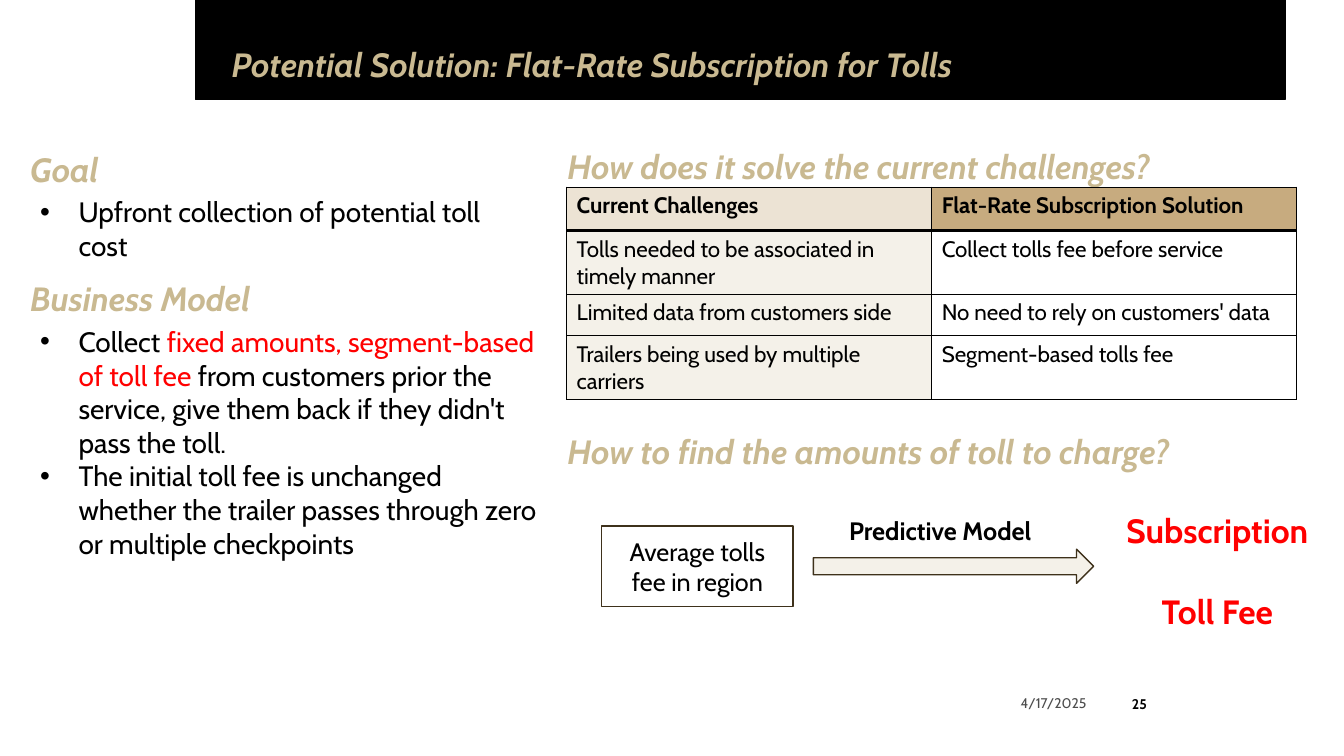
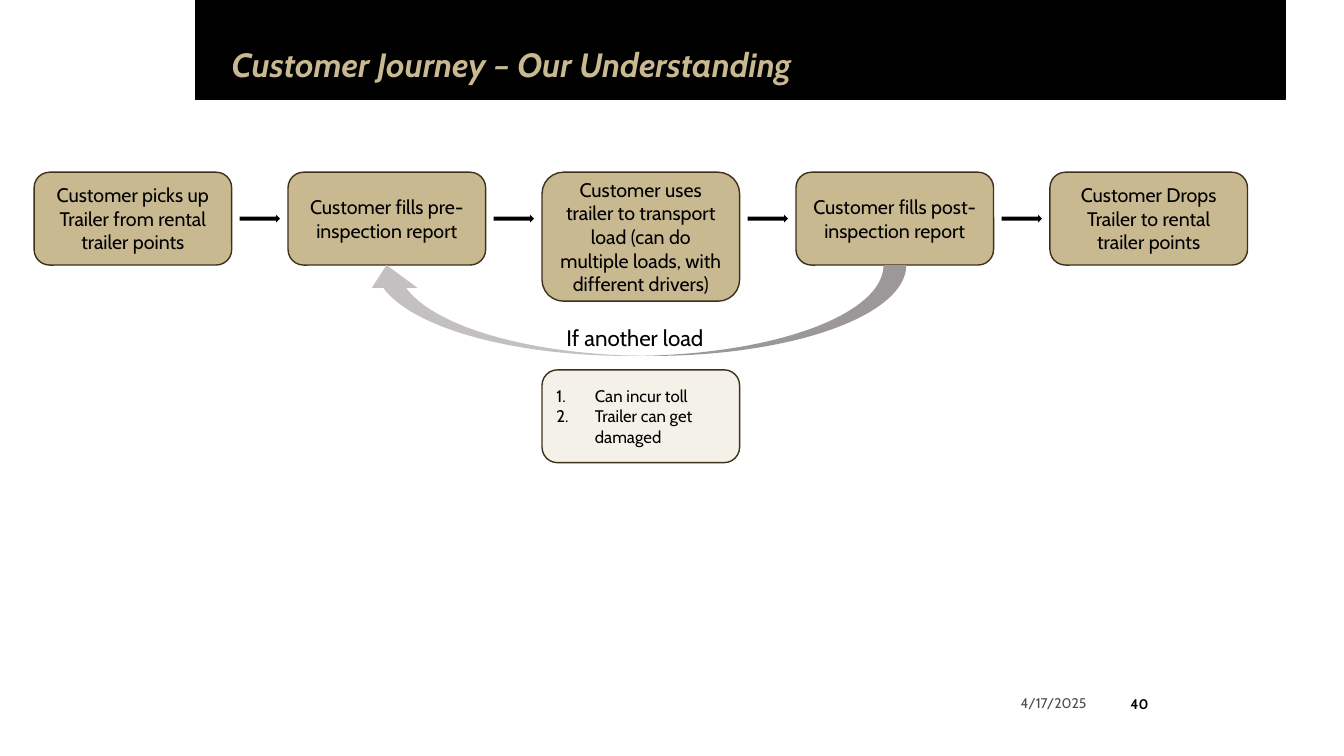
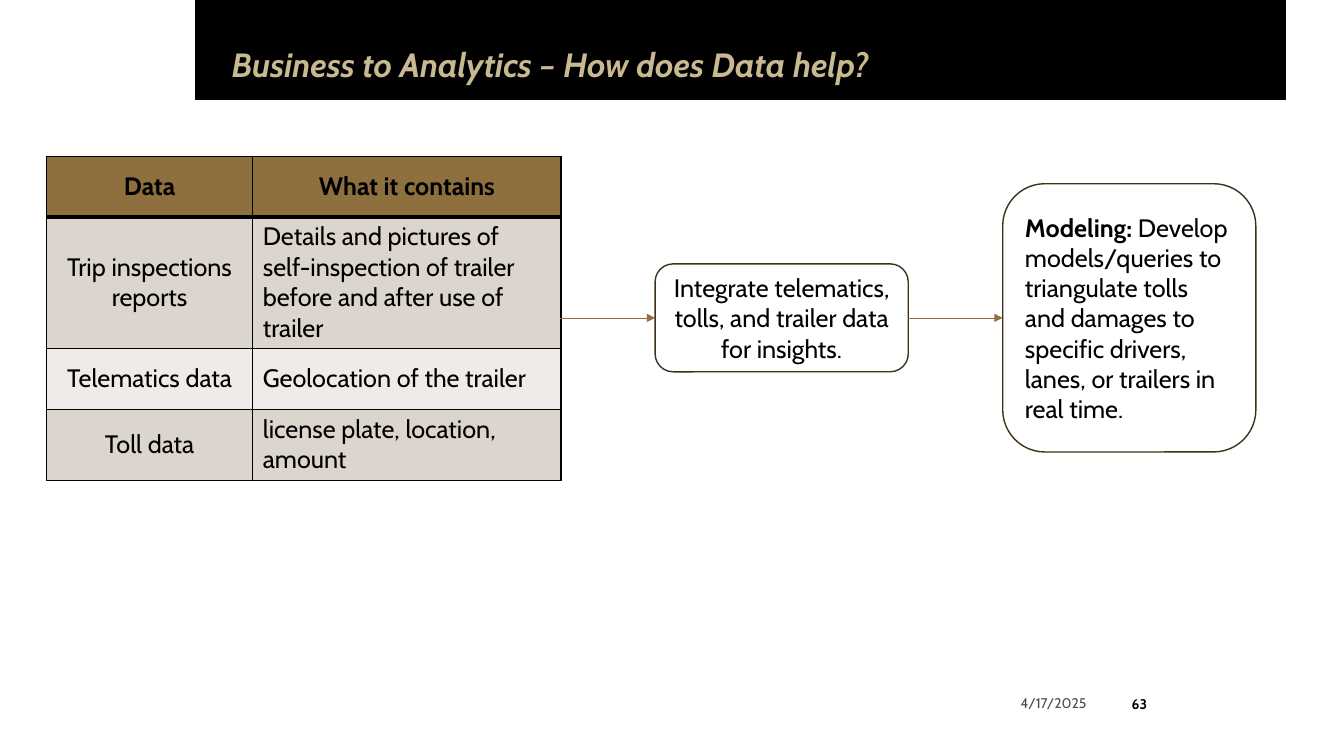
"""Builds three slides on toll subscription, customer journey and data use."""
import pptx
import pptx.chart.data
import pptx.dml.color
import pptx.enum.shapes
import pptx.enum.text
import pptx.oxml
import pptx.oxml.ns
import pptx.util
from lxml import etree

Cm, Pt = pptx.util.Cm, pptx.util.Pt
SHAPE = pptx.enum.shapes.MSO_SHAPE
ALIGN = pptx.enum.text.PP_ALIGN
ANCHOR = pptx.enum.text.MSO_ANCHOR
qn = pptx.oxml.ns.qn

FONT = "Cabin"
BLACK, GOLD, RED, GREY = "000000", "C9B991", "FF0000", "4D4D4D"
BROWN, BRONZE, CREAM, SILVER = "3E311B", "8E6F3E", "F4F1E9", "C4BFC0"
DATE = "4/17/2025"
INDENT = Cm(0.97)

HEADINGS = [
    ("Goal", 0.76, 3.86, 11.38),
    ("Business Model", 0.76, 7.11, 9.88),
    ("How does it solve the current challenges?", 14.3, 3.78, 18.42),
    ("How to find the amounts of toll to charge?", 14.3, 10.97, 18.42),
]
GOAL = ["Upfront collection of potential toll cost"]
BUSINESS_MODEL = [
    [("Collect ", {}),
     ("fixed amounts, segment-based of toll fee", {"color": RED}),
     (" from customers prior the service, give them back if they didn't pass the toll.", {})],
    "The initial toll fee is unchanged whether the trailer passes through zero or multiple checkpoints",
]
CHALLENGES = [
    ("Current Challenges", "Flat-Rate Subscription Solution"),
    ("Tolls needed to be associated in timely manner", "Collect tolls fee before service"),
    ("Limited data from customers side", "No need to rely on customers' data"),
    ("Trailers being used by multiple carriers", "Segment-based tolls fee"),
]
CHALLENGE_FILLS = [("ECE3D4", "C7AB7F")] + [(CREAM, None)] * 3
STEPS = [
    ("Customer picks up Trailer from rental trailer points", 2.34),
    ("Customer fills pre-inspection report", 2.34),
    ("Customer uses trailer to transport load (can do multiple loads, with different drivers)", 3.25),
    ("Customer fills post-inspection report", 2.34),
    ("Customer Drops Trailer to rental trailer points", 2.34),
]
RISKS = ["Can incur toll", "Trailer can get damaged"]
DATA_SOURCES = [
    ("Data", "What it contains"),
    ("Trip inspections reports",
     "Details and pictures of self-inspection of trailer before and after use of trailer"),
    ("Telematics data", "Geolocation of the trailer"),
    ("Toll data", "license plate, location, amount"),
]
DATA_FILLS = [(color, color) for color in (BRONZE, "DBD5CE", "EEEBE8", "DBD5CE")]
INTEGRATE = "Integrate telematics, tolls, and trailer data for insights."
MODELING = [
    ("Modeling:", {"bold": True}),
    (" Develop models/queries to triangulate tolls and damages to specific drivers, "
     "lanes, or trailers in real time.", {}),
]


def rgb(color):
    return pptx.dml.color.RGBColor.from_string(color)


def add_bullet(paragraph, numbered):
    properties = paragraph._p.get_or_add_pPr()
    properties.set("marL", str(INDENT))
    properties.set("indent", str(-INDENT))
    if numbered:
        etree.SubElement(properties, qn("a:buFont"), typeface="+mj-lt")
        etree.SubElement(properties, qn("a:buAutoNum"), type="arabicPeriod")
    else:
        etree.SubElement(properties, qn("a:buFont"), typeface="Arial")
        etree.SubElement(properties, qn("a:buChar"), char="•")


def write(frame, paragraphs, size, color=BLACK, bold=False, italic=False,
          align=ALIGN.LEFT, spacing=None, gap=0, bullet=None):
    for index, content in enumerate(paragraphs):
        paragraph = frame.add_paragraph() if index else frame.paragraphs[0]
        if bullet:
            add_bullet(paragraph, bullet == "number")
        paragraph.alignment = align
        if spacing:
            paragraph.line_spacing = spacing
        if gap and index:
            paragraph.space_before = Pt(gap)
        font = paragraph.font
        font.name, font.size, font.bold, font.italic = FONT, Pt(size), bold, italic
        font.color.rgb = rgb(color)
        runs = [(content, {})] if isinstance(content, str) else content
        for text, change in runs:
            run = paragraph.add_run()
            run.text = text
            if "color" in change:
                run.font.color.rgb = rgb(change["color"])
            if "bold" in change:
                run.font.bold = change["bold"]


def add_text(slide, box, paragraphs, size, inset=True, anchor=ANCHOR.TOP, **style):
    frame = slide.shapes.add_textbox(*map(Cm, box)).text_frame
    frame.word_wrap = True
    frame.vertical_anchor = anchor
    if not inset:
        frame.margin_left = frame.margin_right = frame.margin_top = frame.margin_bottom = 0
    write(frame, paragraphs, size, **style)


def add_heading(slide, text, left, top, width):
    add_text(slide, (left, top, width, 0.91), [text], 24, inset=False,
             color=GOLD, bold=True, italic=True, spacing=0.9)


def add_box(slide, kind, box, paragraphs=(), size=18, fill=None, line=BROWN,
            anchor=ANCHOR.MIDDLE, align=ALIGN.CENTER, **style):
    shape = slide.shapes.add_shape(kind, *map(Cm, box))
    shape.shadow.inherit = False
    if fill:
        shape.fill.solid()
        shape.fill.fore_color.rgb = rgb(fill)
    else:
        shape.fill.background()
    if line:
        shape.line.color.rgb = rgb(line)
        shape.line.width = Pt(1)
    else:
        shape.line.fill.background()
    shape.text_frame.word_wrap = True
    shape.text_frame.vertical_anchor = anchor
    write(shape.text_frame, paragraphs, size, align=align, **style)
    return shape


def add_border(cell, side, points):
    properties = cell._tc.get_or_add_tcPr()
    line = etree.SubElement(properties, qn("a:ln" + side), w=str(Pt(points)))
    fill = etree.SubElement(line, qn("a:solidFill"))
    etree.SubElement(fill, qn("a:srgbClr"), val=BLACK)


def add_table(slide, left, top, widths, heights, rows, fills, size,
              first_align=ALIGN.LEFT, header_align=ALIGN.LEFT, anchor=ANCHOR.TOP, spacing=None):
    table = slide.shapes.add_table(len(rows), len(widths), Cm(left), Cm(top),
                                   Cm(sum(widths)), Cm(sum(heights))).table
    table.first_row = table.horz_banding = False
    for column, width in zip(table.columns, widths):
        column.width = Cm(width)
    for row, height in zip(table.rows, heights):
        row.height = Cm(height)
    for row_index, texts in enumerate(rows):
        for column_index, text in enumerate(texts):
            cell = table.cell(row_index, column_index)
            header = row_index == 0
            align = header_align if header else ALIGN.LEFT if column_index else first_align
            cell.vertical_anchor = anchor
            write(cell.text_frame, [text], size, bold=header, align=align, spacing=spacing)
            for side in "LRTB":
                thick = (side, row_index) in (("B", 0), ("T", 1))
                add_border(cell, side, 3 if thick else 1)
            color = fills[row_index][column_index]
            if color:
                cell.fill.solid()
                cell.fill.fore_color.rgb = rgb(color)
            else:
                cell.fill.background()


def add_arrow(slide, start, target):
    """Draws an arrow from a shape, or a point, to the left side of a target."""
    point = start if isinstance(start, tuple) else (0, 0)
    connector = slide.shapes.add_connector(
        pptx.enum.shapes.MSO_CONNECTOR.STRAIGHT, *map(Cm, point), *map(Cm, point))
    if not isinstance(start, tuple):
        connector.begin_connect(start, 3)
    connector.end_connect(target, 1)
    connector.line.color.rgb = rgb(BRONZE)
    connector.line.width = Pt(0.5)
    etree.SubElement(connector.line._get_or_add_ln(), qn("a:tailEnd"), type="triangle")
    etree.SubElement(connector._element.spPr, qn("a:effectLst"))


def add_slide(presentation, title, number):
    slide = presentation.slides.add_slide(presentation.slide_layouts[6])
    add_box(slide, SHAPE.RECTANGLE, (4.93, 0, 27.46, 2.51), fill=BLACK, line=BLACK)
    add_heading(slide, title, 5.84, 1.22, 22.2)
    add_text(slide, (24.79, 17.27, 2.84, 0.89), [DATE], 10, color=GREY,
             align=ALIGN.RIGHT, anchor=ANCHOR.MIDDLE)
    badge = add_box(slide, SHAPE.OVAL, (28.04, 17.22, 1.35, 1.02), [str(number)], 10,
                    line=None, bold=True)
    badge.text_frame.margin_left = badge.text_frame.margin_right = Cm(0.05)
    return slide


def build_solution(presentation):
    slide = add_slide(presentation, "Potential Solution: Flat-Rate Subscription for Tolls", 25)
    for heading in HEADINGS:
        add_heading(slide, *heading)
    add_text(slide, (0.76, 4.78, 12.6, 1.96), GOAL, 20, bullet="dot")
    add_text(slide, (0.76, 8.05, 13.03, 6.35), BUSINESS_MODEL, 20, bullet="dot")
    add_table(slide, 14.28, 4.72, [9.2, 9.2], [1.09, 1.6, 1.04, 1.6],
              CHALLENGES, CHALLENGE_FILLS, 16)
    add_box(slide, SHAPE.RECTANGLE, (15.16, 13.26, 4.83, 2.03), ["Average tolls fee in region"])
    add_text(slide, (20.85, 12.85, 5.69, 1.02), ["Predictive Model"], 18,
             bold=True, align=ALIGN.CENTER)
    add_box(slide, SHAPE.RIGHT_ARROW, (20.5, 13.84, 7.06, 0.86), fill=CREAM)
    add_text(slide, (28.04, 12.73, 5.28, 3.3), ["Subscription", "Toll Fee"], 24,
             color=RED, bold=True, align=ALIGN.CENTER, gap=29)


def build_journey(presentation):
    slide = add_slide(presentation, "Customer Journey – Our Understanding", 40)
    left, top, width, pitch, height = 0.86, 4.34, 4.98, 6.4, 2.34
    arrow_width, arrow_height = 1.02, 0.2
    for index, (text, step_height) in enumerate(STEPS):
        step_left = left + index * pitch
        add_box(slide, SHAPE.ROUNDED_RECTANGLE, (step_left, top, width, step_height),
                [text], 14, fill=GOLD)
        if index < len(STEPS) - 1:
            arrow_left = step_left + (width + pitch - arrow_width) / 2
            add_box(slide, SHAPE.RIGHT_ARROW,
                    (arrow_left, top + (height - arrow_height) / 2, arrow_width, arrow_height),
                    fill=BLACK, line=None)
    add_box(slide, SHAPE.ROUNDED_RECTANGLE, (left + 2 * pitch, 9.32, width, height), RISKS, 12,
            fill=CREAM, align=ALIGN.LEFT, bullet="number")
    loop = add_box(slide, SHAPE.CURVED_UP_ARROW, (9.17, top + height, 13.67, 2.29),
                   ["If another load"], 16, fill=SILVER, line=None, anchor=ANCHOR.BOTTOM)
    loop._element.spPr.xfrm.set("flipH", "1")


def build_analytics(presentation):
    slide = add_slide(presentation, "Business to Analytics – How does Data help?", 63)
    add_table(slide, 1.17, 3.94, [5.2, 7.77], [1.52, 3.3, 1.52, 1.76], DATA_SOURCES, DATA_FILLS,
              18, first_align=ALIGN.CENTER, header_align=ALIGN.CENTER,
              anchor=ANCHOR.MIDDLE, spacing=Pt(21.8))
    middle, width = 8.01, 6.38
    integrate, modeling = [
        add_box(slide, SHAPE.ROUNDED_RECTANGLE, (left, middle - height / 2, width, height),
                [content], align=align)
        for left, height, content, align in (
            (16.51, 2.72, INTEGRATE, ALIGN.CENTER),
            (25.27, 6.76, MODELING, ALIGN.LEFT))]
    add_arrow(slide, (14.1, middle), integrate)
    add_arrow(slide, integrate, modeling)


def main():
    presentation = pptx.Presentation()
    presentation.slide_width, presentation.slide_height = Cm(33.87), Cm(19.05)
    build_solution(presentation)
    build_journey(presentation)
    build_analytics(presentation)
    presentation.save("out.pptx")


if __name__ == "__main__":
    main()
